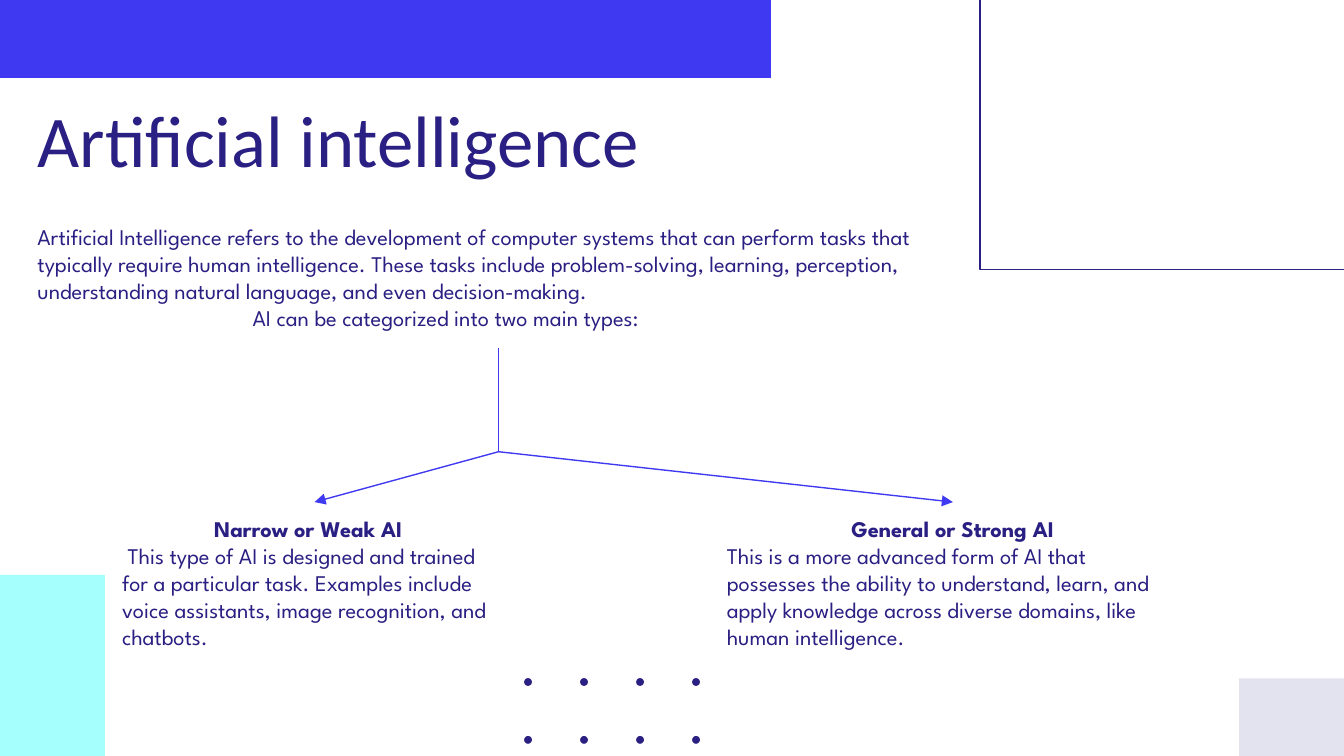
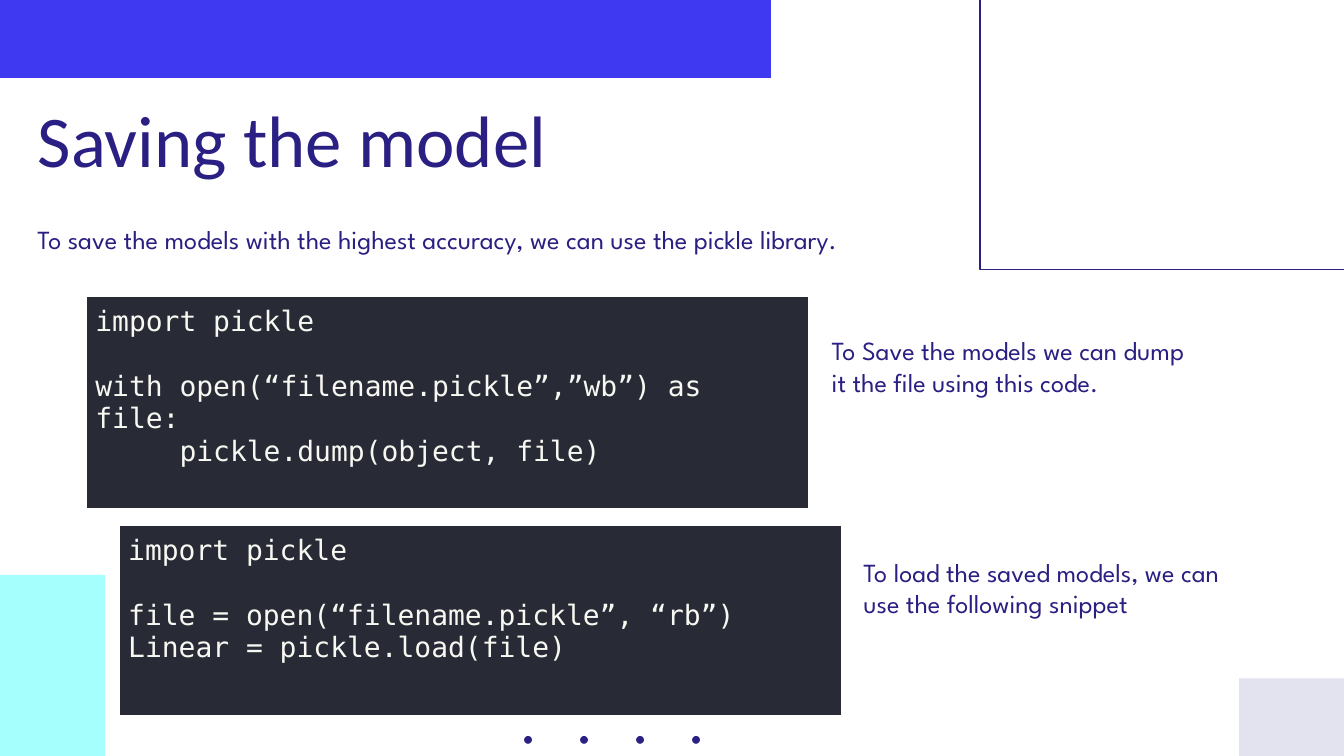
from lxml import etree
from pptx import Presentation
from pptx.dml.color import RGBColor
from pptx.enum.shapes import MSO_CONNECTOR, MSO_SHAPE
from pptx.enum.text import MSO_ANCHOR, MSO_AUTO_SIZE, PP_ALIGN
from pptx.oxml.ns import qn
from pptx.util import Pt

RECT, OVAL = MSO_SHAPE.RECTANGLE, MSO_SHAPE.OVAL
LINE = MSO_CONNECTOR.STRAIGHT
TOP, BOTTOM = MSO_ANCHOR.TOP, MSO_ANCHOR.BOTTOM
LEFT, CENTER = PP_ALIGN.LEFT, PP_ALIGN.CENTER
FIXED = MSO_AUTO_SIZE.NONE

COLORS = {
    "navy": "2A1F82",
    "blue": "3F3AF2",
    "aqua": "A4FFFD",
    "mist": "E3E2EF",
    "code": "282A36",
    "pale": "F8F8F2",
}
HEAD, BODY, MONO = "Calibri", "League Spartan", "DejaVu Sans Mono"
TITLE_ONLY = 5
CODE_GAP = 17.4  # height of one skipped code line


def color(name):
    return RGBColor.from_string(COLORS[name])


def write(frame, text, size=12, font=BODY, ink="navy", bold=False,
          align=LEFT, before=0, margin=0, indent=0):
    """Add one paragraph, using the empty first one if it is free."""
    para = frame.add_paragraph() if frame.text else frame.paragraphs[0]
    para.alignment = align
    para.space_before = Pt(before)
    props = para._p.get_or_add_pPr()
    props.set("marL", str(Pt(margin)))
    props.set("indent", str(Pt(indent)))
    run = para.add_run()
    run.text = text
    run.font.name, run.font.size, run.font.bold = font, Pt(size), bold
    run.font.color.rgb = color(ink)


class Deck:
    def __init__(self):
        self.prs = Presentation()
        self.prs.slide_width, self.prs.slide_height = Pt(720), Pt(405)
        self.slide = None

    def page(self, title):
        layout = self.prs.slide_layouts[TITLE_ONLY]
        self.slide = self.prs.slides.add_slide(layout)
        self.decor()
        head = self.slide.shapes.title
        head.left, head.top, head.width, head.height = map(
            Pt, (13, 52.5, 426, 52.5))
        self.setup(head.text_frame, BOTTOM)
        write(head.text_frame, title, size=39, font=HEAD)

    def decor(self):
        # Corner blocks and top band
        self.shape(RECT, 0, 308, 56.2, 97, fill="aqua")
        self.shape(RECT, 0, 0, 413, 41.8, fill="blue")
        self.shape(RECT, 663.8, 363.4, 56.2, 41.6, fill="mist")
        # Dot grid
        for col in range(4):
            for row in range(2):
                self.shape(OVAL, 280.8 + 30 * col, 363.3 + 31 * row,
                           4.2, 4.2, fill="navy")
        # Outlined frame running off the top right corner
        self.shape(RECT, 525, -2, 199, 146.5, edge="navy")

    def setup(self, frame, anchor=TOP):
        frame.word_wrap = True
        frame.auto_size = FIXED
        frame.vertical_anchor = anchor
        frame.margin_left = frame.margin_right = Pt(7.2)
        frame.margin_top = frame.margin_bottom = Pt(7.2)

    def shape(self, kind, x, y, w, h, fill=None, edge=None):
        item = self.slide.shapes.add_shape(kind, Pt(x), Pt(y), Pt(w), Pt(h))
        item.shadow.inherit = False
        if fill:
            item.fill.solid()
            item.fill.fore_color.rgb = color(fill)
        else:
            item.fill.background()
        if edge:
            item.line.color.rgb = color(edge)
            item.line.width = Pt(0.75)
        else:
            item.line.fill.background()

    def box(self, x, y, w, h):
        item = self.slide.shapes.add_textbox(Pt(x), Pt(y), Pt(w), Pt(h))
        self.setup(item.text_frame)
        return item.text_frame

    def line(self, start, end, arrow=False):
        item = self.slide.shapes.add_connector(
            LINE, *map(Pt, start), *map(Pt, end))
        item.line.color.rgb = color("blue")
        item.line.width = Pt(0.75)
        if arrow:
            tip = etree.SubElement(item.line._get_or_add_ln(),
                                   qn("a:tailEnd"))
            tip.set("type", "triangle")
        etree.SubElement(item._element.spPr, qn("a:effectLst"))

    def code(self, x, y, h, lines):
        w = 387.4
        table = self.slide.shapes.add_table(
            1, 1, Pt(x), Pt(y), Pt(w), Pt(h)).table
        table.first_row = table.horz_banding = False
        cell = table.cell(0, 0)
        cell.fill.solid()
        cell.fill.fore_color.rgb = color("code")
        cell.margin_left = cell.margin_right = Pt(5)
        cell.margin_top = cell.margin_bottom = Pt(5)
        for i, text in enumerate(lines):
            write(cell.text_frame, text, size=15, font=MONO, ink="pale",
                  before=CODE_GAP if i == 1 else 0)


def types(deck):
    deck.page("Artificial intelligence")
    intro = deck.box(13, 112.3, 512, 103.7)
    write(intro, "Artificial Intelligence refers to the development of "
          "computer systems that can perform tasks that typically require "
          "human intelligence. These tasks include problem-solving, "
          "learning, perception, understanding natural language, and even "
          "decision-making.")
    write(intro, "AI can be categorized into two main types:", margin=115.3)

    # Branching arrows
    fork = (267.1, 242)
    deck.line((267.1, 186.5), fork)
    for tip in (168.5, 510.5):
        deck.line(fork, (tip, 269), arrow=True)

    # The two types
    kinds = [
        (58.3, 213.8, 3, "Narrow or Weak AI",
         "This type of AI is designed and trained for a particular task. "
         "Examples include voice assistants, image recognition, and "
         "chatbots."),
        (382.3, 256.3, 0, "General or Strong AI",
         "This is a more advanced form of AI that possesses the ability to "
         "understand, learn, and apply knowledge across diverse domains, "
         "like human intelligence."),
    ]
    for x, w, indent, name, about in kinds:
        frame = deck.box(x, 269, w, 103.7)
        write(frame, name, bold=True, align=CENTER)
        write(frame, about, indent=indent)


def saving(deck):
    deck.page("Saving the model")
    write(deck.box(13, 112.3, 518, 36),
          "To save the models with the highest accuracy, we can use the "
          "pickle library.", size=14)

    # Code snippets with their notes
    deck.code(46.1, 158.6, 114, [
        "import pickle",
        "with open(“filename.pickle”,”wb”) as file:",
        "     pickle.dump(object, file)",
    ])
    deck.code(63.7, 281.3, 102, [
        "import pickle",
        "file = open(“filename.pickle”, “rb”)",
        "Linear = pickle.load(file)",
    ])
    notes = [
        (438.5, 172.1, "To Save the models we can dump it the file using "
         "this code."),
        (455.5, 290.9, "To load the saved models, we can use the following "
         "snippet"),
    ]
    for x, y, text in notes:
        write(deck.box(x, y, 208, 87), text, size=14)


def main():
    deck = Deck()
    types(deck)
    saving(deck)
    deck.prs.save("out.pptx")


if __name__ == "__main__":
    main()
